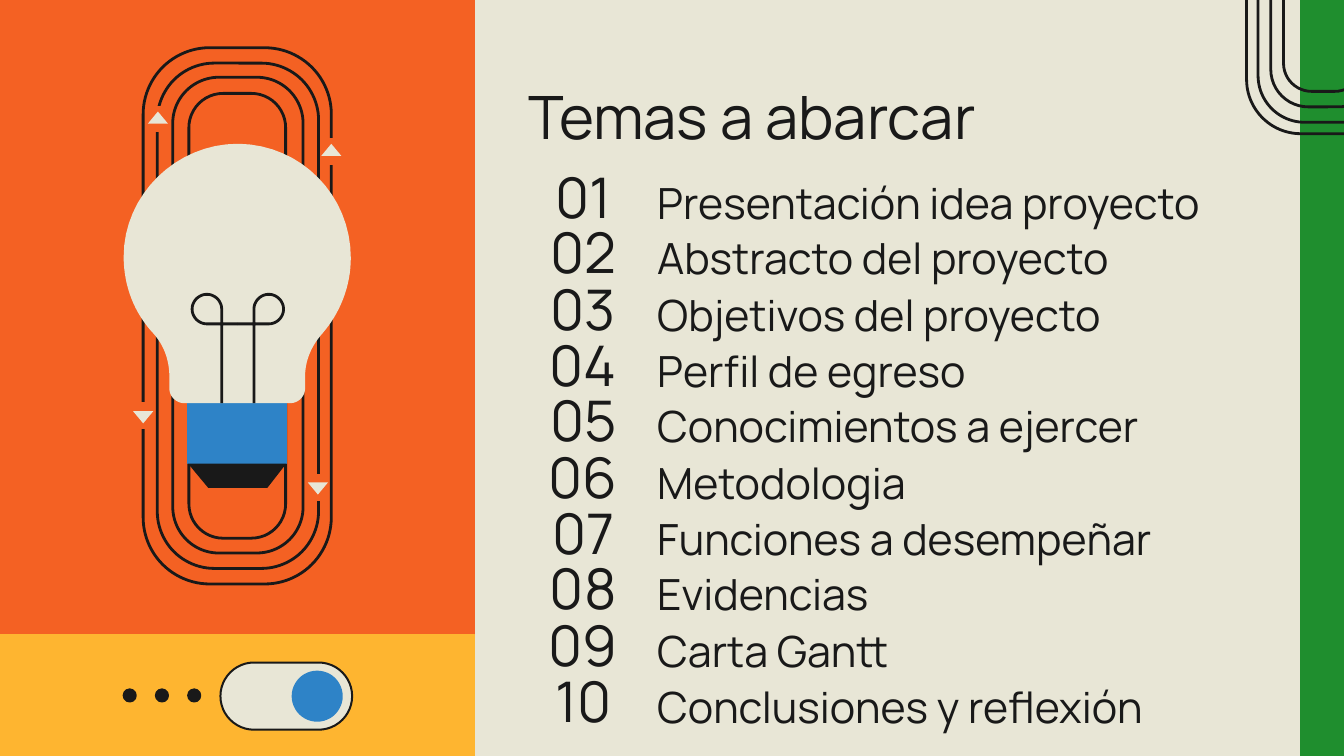
from copy import deepcopy

from lxml import etree
from pptx import Presentation
from pptx.dml.color import RGBColor
from pptx.enum.shapes import MSO_SHAPE
from pptx.enum.text import MSO_ANCHOR, MSO_AUTO_SIZE, PP_ALIGN
from pptx.oxml.ns import qn
from pptx.util import Inches, Pt

PX = 9144  # EMU per px, 100 px to the inch
RECT, ROUND = MSO_SHAPE.RECTANGLE, MSO_SHAPE.ROUNDED_RECTANGLE
OVAL, TRIANGLE = MSO_SHAPE.OVAL, MSO_SHAPE.ISOSCELES_TRIANGLE
TOP, MIDDLE, BOTTOM = MSO_ANCHOR.TOP, MSO_ANCHOR.MIDDLE, MSO_ANCHOR.BOTTOM
LEFT, CENTER = PP_ALIGN.LEFT, PP_ALIGN.CENTER
NO_FIT = MSO_AUTO_SIZE.NONE

CREAM = RGBColor(0xE8, 0xE6, 0xD6)
INK = RGBColor(0x19, 0x19, 0x19)
GREEN = RGBColor(0x1F, 0x8E, 0x2E)
ORANGE = RGBColor(0xF4, 0x61, 0x23)
YELLOW = RGBColor(0xFE, 0xB5, 0x30)
BLUE = RGBColor(0x2E, 0x83, 0xC7)

TOPICS = [
    "Presentación idea proyecto", "Abstracto del proyecto",
    "Objetivos del proyecto", "Perfil de egreso",
    "Conocimientos a ejercer", "Metodologia",
    "Funciones a desempeñar", "Evidencias",
    "Carta Gantt", "Conclusiones y reflexión",
]

# Outlines: pairs are corners, sixes are Bezier curves
BULB = [
    (177, 107), (131, 107, 92, 145, 92, 191), (92, 213, 100, 233, 114, 248),
    (122, 257, 126, 268, 126, 280), (126, 289), (126, 295, 131, 300, 137, 300),
    (216, 300), (222, 300, 227, 295, 227, 289), (227, 280),
    (227, 268, 232, 257, 240, 248), (253, 233, 261, 213, 261, 192),
    (261, 145, 224, 108, 178, 107),
]
WIRE = [
    (165, 300), (165, 230), (165, 224, 160, 219, 154, 219),
    (148, 219, 143, 224, 143, 230), (143, 236, 148, 241, 154, 241), (177, 241),
]
AXIS = 177  # centre line of the bulb


def mirror(path):
    return [tuple(2 * AXIS - n if i % 2 == 0 else n
                  for i, n in enumerate(step)) for step in path]


def trace(path, parts=16):
    """Turn corners and curves into a list of points."""
    points = []
    for step in path:
        if len(step) == 2:
            points.append(step)
            continue
        (ax, ay), (bx, by, cx, cy, dx, dy) = points[-1], step
        for i in range(1, parts + 1):
            t = i / parts
            u = 1 - t
            a, b, c, d = u ** 3, 3 * u * u * t, 3 * u * t * t, t ** 3
            points.append((a * ax + b * bx + c * cx + d * dx,
                           a * ay + b * by + c * cy + d * dy))
    return points


class Artist:
    font = "Manrope"
    color = INK

    def __init__(self, slide):
        self.slide = slide
        self.shapes = slide.shapes

    def place(self, item, box):
        for name, n in zip(("left", "top", "width", "height"), box):
            setattr(item, name, n * PX)

    def paint(self, item, fill, line, width):
        item.shadow.inherit = False
        for part, color in ((item.fill, fill), (item.line.fill, line)):
            if color is None:
                part.background()
            else:
                part.solid()
                part.fore_color.rgb = color
        if line is not None:
            item.line.width = Pt(width)

    def shape(self, kind, box, fill=None, line=None, width=0.75, turn=0, bend=None):
        item = self.shapes.add_shape(kind, *(n * PX for n in box))
        item.rotation = turn
        if bend is not None:
            item.adjustments[0] = bend
        self.paint(item, fill, line, width)

    def outline(self, path, fill=None, line=None, width=1.5, close=True):
        points = [(x * PX, y * PX) for x, y in trace(path)]
        pen = self.shapes.build_freeform(*points[0], scale=1.0)
        pen.add_line_segments(points[1:], close=close)
        self.paint(pen.convert_to_shape(), fill, line, width)

    def rings(self, x, y, sizes):
        for w, h in sizes:
            box = ((2 * x - w) // 2, (2 * y - h) // 2, w, h)
            self.shape(ROUND, box, line=INK, width=1.5, turn=90, bend=0.354)

    def arrow(self, x, y, turn):
        """A triangle in a gap of the outer tracks."""
        gap = 4 if turn == 0 else 6
        self.shape(RECT, (x + 2, y - gap, 11, 19), ORANGE, ORANGE)
        self.shape(TRIANGLE, (x, y, 15, 9), CREAM, turn=turn)

    def twin(self, item):
        """Add one more placeholder of the same kind."""
        node = deepcopy(item.element)
        node.nvSpPr.cNvPr.id = max(s.shape_id for s in self.shapes) + 1
        self.shapes.element.append(node)
        return self.shapes[-1]

    def text(self, item, box, words, size, anchor, align=LEFT, head=0):
        self.place(item, box)
        frame = item.text_frame
        form = {"word_wrap": True, "auto_size": NO_FIT, "vertical_anchor": anchor,
                "margin_left": 10 * PX, "margin_right": 10 * PX,
                "margin_top": head * PX, "margin_bottom": 10 * PX}
        for name, value in form.items():
            setattr(frame, name, value)
        frame.text = words
        para = frame.paragraphs[0]
        props = para._p.get_or_add_pPr()
        props.set("marL", "0")
        props.set("indent", "0")
        etree.SubElement(props, qn("a:buNone"))
        form = {"alignment": align, "space_before": Pt(0), "line_spacing": 1.0}
        for name, value in form.items():
            setattr(para, name, value)
        font = para.runs[0].font
        for name, value in {"name": self.font, "size": Pt(size), "bold": False}.items():
            setattr(font, name, value)
        font.color.rgb = self.color

    def label(self, box, *args, **form):
        item = self.shapes.add_textbox(*(n * PX for n in box))
        self.text(item, box, *args, **form)


def main():
    deck = Presentation()
    # Widescreen, 16:9
    deck.slide_width = Inches(10)
    deck.slide_height = deck.slide_width * 9 // 16
    slide = deck.slides.add_slide(deck.slide_layouts[1])
    slide.background.fill.solid()
    slide.background.fill.fore_color.rgb = CREAM
    art = Artist(slide)

    # Colour panels and corner tracks
    art.shape(RECT, (968, 0, 32, 563), GREEN, GREEN)
    art.rings(985, -97, [(393, 114), (376, 98), (354, 79), (331, 59)])
    art.shape(RECT, (0, -1, 353, 473), ORANGE, ORANGE)
    art.shape(RECT, (0, 472, 353, 92), YELLOW, YELLOW)

    # Tracks with arrows behind the bulb
    art.rings(AXIS, 235, [(399, 140), (376, 120), (354, 97), (331, 72)])
    for x, y, turn in [(239, 107, 0), (110, 83, 0), (229, 359, 180), (99, 306, 180)]:
        art.arrow(x, y, turn)

    # Bulb
    art.shape(RECT, (140, 281, 73, 64), BLUE, BLUE)
    art.outline([(140, 345), (155, 363), (199, 363), (213, 345)], INK)
    art.outline(BULB, CREAM)
    for path in (WIRE, mirror(WIRE)):
        art.outline(path, line=INK, close=False)

    # Switch and dots
    art.shape(ROUND, (164, 493, 98, 50), CREAM, INK, 1.09, bend=0.5)
    art.shape(OVAL, (217, 499, 38, 38), BLUE)
    for i in range(3):
        art.shape(OVAL, (92 + 24 * i, 513, 9, 9), INK, INK, 1.09)

    # Title and numbered topics
    title, body = slide.placeholders
    art.text(title, (383, 59, 538, 63), "Temas a abarcar", 32, TOP)
    spots = [body] + [art.twin(body) for _ in TOPICS[1:]]
    for i, (spot, topic) in enumerate(zip(spots, TOPICS)):
        drop = i * 375 // 9
        art.label((384, 128 + drop, 100, 46), f"{i + 1:02}", 30, MIDDLE, align=CENTER)
        art.text(spot, (479, 126 + drop, 442, 54), topic, 23, BOTTOM, head=10)

    deck.save("out.pptx")


if __name__ == "__main__":
    main()
